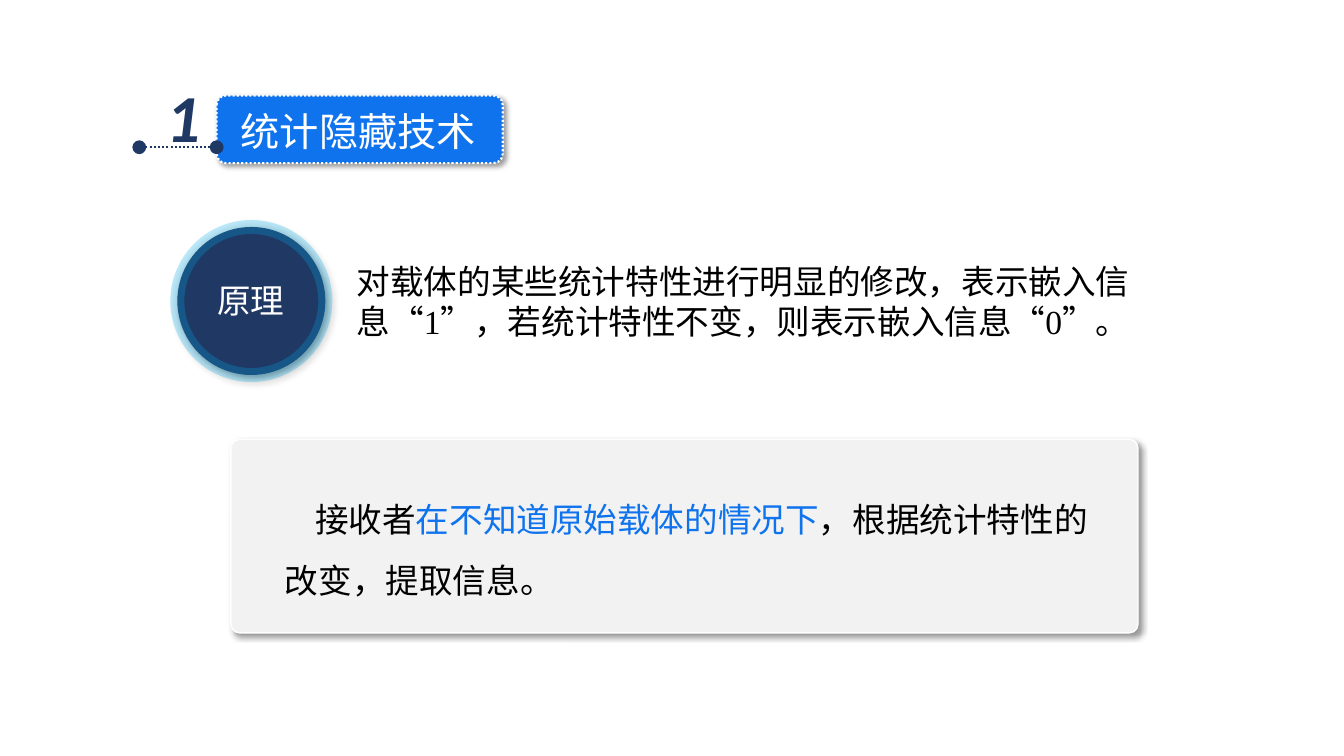
"""Build the slide on statistical information hiding."""
from dataclasses import dataclass
from typing import Optional

from lxml.etree import SubElement
from pptx import Presentation
from pptx.dml.color import RGBColor
from pptx.enum.dml import MSO_LINE_DASH_STYLE as Dash
from pptx.enum.lang import MSO_LANGUAGE_ID as Language
from pptx.enum.shapes import MSO_CONNECTOR as Connector
from pptx.enum.shapes import MSO_SHAPE as Preset
from pptx.enum.text import MSO_AUTO_SIZE as AutoSize
from pptx.oxml.ns import qn
from pptx.util import Cm, Pt

COLORS = {
    "white": "FFFFFF",
    "black": "000000",
    "navy": "203864",
    "blue": "0F73EE",
    "cyan": "00B0F0",
    "gray": "F2F2F2",
}
CHINESE_FONT = "Noto Sans CJK SC"
SERIF_FONT = "Times New Roman"

Box = tuple[float, float, float, float]


@dataclass
class Panel:
    preset: Preset
    box: Box
    fill: str
    fill_opacity: int = 100
    corner: Optional[float] = None
    line: Optional[str] = None
    line_width: float = 1
    line_opacity: int = 100
    dash: Optional[Dash] = None
    shadow: bool = True


@dataclass
class Label:
    box: Box
    runs: list[tuple[str, str]]
    size: int = 24
    font: str = SERIF_FONT
    emphasis: bool = False
    wrap: bool = False
    spacing: float = 1
    indent: float = 0


PANELS = [
    Panel(Preset.ROUNDED_RECTANGLE, (5.46, 2.41, 7.21, 1.7), "blue", corner=0.137,
          line="white", line_width=1.5, dash=Dash.ROUND_DOT),
    Panel(Preset.ROUNDED_RECTANGLE, (6.81, 5.74, 23.09, 3.73), "white", fill_opacity=50,
          corner=0.08, shadow=False),
    Panel(Preset.OVAL, (4.47, 5.72, 3.73, 3.73), "navy",
          line="cyan", line_width=10, line_opacity=25),
    Panel(Preset.ROUNDED_RECTANGLE, (5.82, 11.07, 22.86, 4.88), "gray", corner=0.046,
          line="white"),
]

LABELS = [
    Label((5.82, 2.57, 6.5, 1.45), [("统计隐藏技术", "white")], size=28, font=CHINESE_FONT),
    Label((3.94, 1.78, 1.37, 2.31), [("1", "navy")], size=48, font="Calibri", emphasis=True),
    Label((8.74, 6.45, 20.65, 2.31),
          [("对载体的某些统计特性进行明显的修改，表示嵌入信息“1”，"
            "若统计特性不变，则表示嵌入信息“0”。", "black")], wrap=True),
    Label((5.23, 6.93, 2.24, 1.27), [("原理", "white")], font=CHINESE_FONT),
    Label((6.93, 11.94, 20.75, 3.33),
          [("接收者", "black"), ("在不知道原始载体的情况下", "blue"),
           ("，根据统计特性的改变，提取信息。", "black")],
          wrap=True, spacing=1.5, indent=0.76),
]


def rgb(name: str) -> RGBColor:
    return RGBColor.from_string(COLORS[name])


def set_opacity(parent, percent: int) -> None:
    color = next(parent.iter(qn("a:srgbClr")))
    SubElement(color, qn("a:alpha"), val=str(percent * 1000))


def add_shadow(shape) -> None:
    effects = shape._element.spPr.find(qn("a:effectLst"))
    shadow = SubElement(effects, qn("a:outerShdw"), blurRad=str(Pt(4)), dist=str(Pt(3)),
                        dir=str(45 * 60000), algn="tl", rotWithShape="0")
    SubElement(shadow, qn("a:srgbClr"), val=COLORS["black"])
    set_opacity(shadow, 40)


def draw_panel(slide, panel: Panel) -> None:
    shape = slide.shapes.add_shape(panel.preset, *map(Cm, panel.box))
    shape.shadow.inherit = False
    if panel.corner is not None:
        shape.adjustments[0] = panel.corner
    shape.fill.solid()
    shape.fill.fore_color.rgb = rgb(panel.fill)
    if panel.fill_opacity < 100:
        set_opacity(shape._element.spPr.find(qn("a:solidFill")), panel.fill_opacity)
    if panel.line:
        shape.line.color.rgb = rgb(panel.line)
        shape.line.width = Pt(panel.line_width)
        if panel.line_opacity < 100:
            set_opacity(shape.line._get_or_add_ln(), panel.line_opacity)
        if panel.dash:
            shape.line.dash_style = panel.dash
    else:
        shape.line.fill.background()
    if panel.shadow:
        add_shadow(shape)


def draw_label(slide, label: Label) -> None:
    frame = slide.shapes.add_textbox(*map(Cm, label.box)).text_frame
    frame.word_wrap = label.wrap
    frame.auto_size = AutoSize.SHAPE_TO_FIT_TEXT
    paragraph = frame.paragraphs[0]
    paragraph.line_spacing = label.spacing
    if label.indent:
        paragraph._p.get_or_add_pPr().set("indent", str(Cm(label.indent)))
    for text, color in label.runs:
        run = paragraph.add_run()
        run.text = text
        font = run.font
        font.size = Pt(label.size)
        font.bold = font.italic = label.emphasis
        font.color.rgb = rgb(color)
        font.language_id = Language.SIMPLIFIED_CHINESE
        font.name = label.font
        SubElement(run._r.get_or_add_rPr(), qn("a:ea"), typeface=CHINESE_FONT)


def draw_number_line(slide) -> None:
    connector = slide.shapes.add_connector(
        Connector.STRAIGHT, Cm(3.51), Cm(3.71), Cm(5.46), Cm(3.71))
    connector.line.color.rgb = rgb("navy")
    connector.line.width = Pt(1.5)
    connector.line.dash_style = Dash.ROUND_DOT
    for end in ("a:headEnd", "a:tailEnd"):
        SubElement(connector.line._get_or_add_ln(), qn(end), type="oval", w="lg", len="lg")
    SubElement(connector._element.spPr, qn("a:effectLst"))


def main() -> None:
    presentation = Presentation()
    presentation.slide_width = Cm(33.87)
    presentation.slide_height = Cm(19.05)
    slide = presentation.slides.add_slide(presentation.slide_layouts[6])
    for panel in PANELS:
        draw_panel(slide, panel)
    for label in LABELS:
        draw_label(slide, label)
    draw_number_line(slide)
    presentation.save("out.pptx")


if __name__ == "__main__":
    main()
